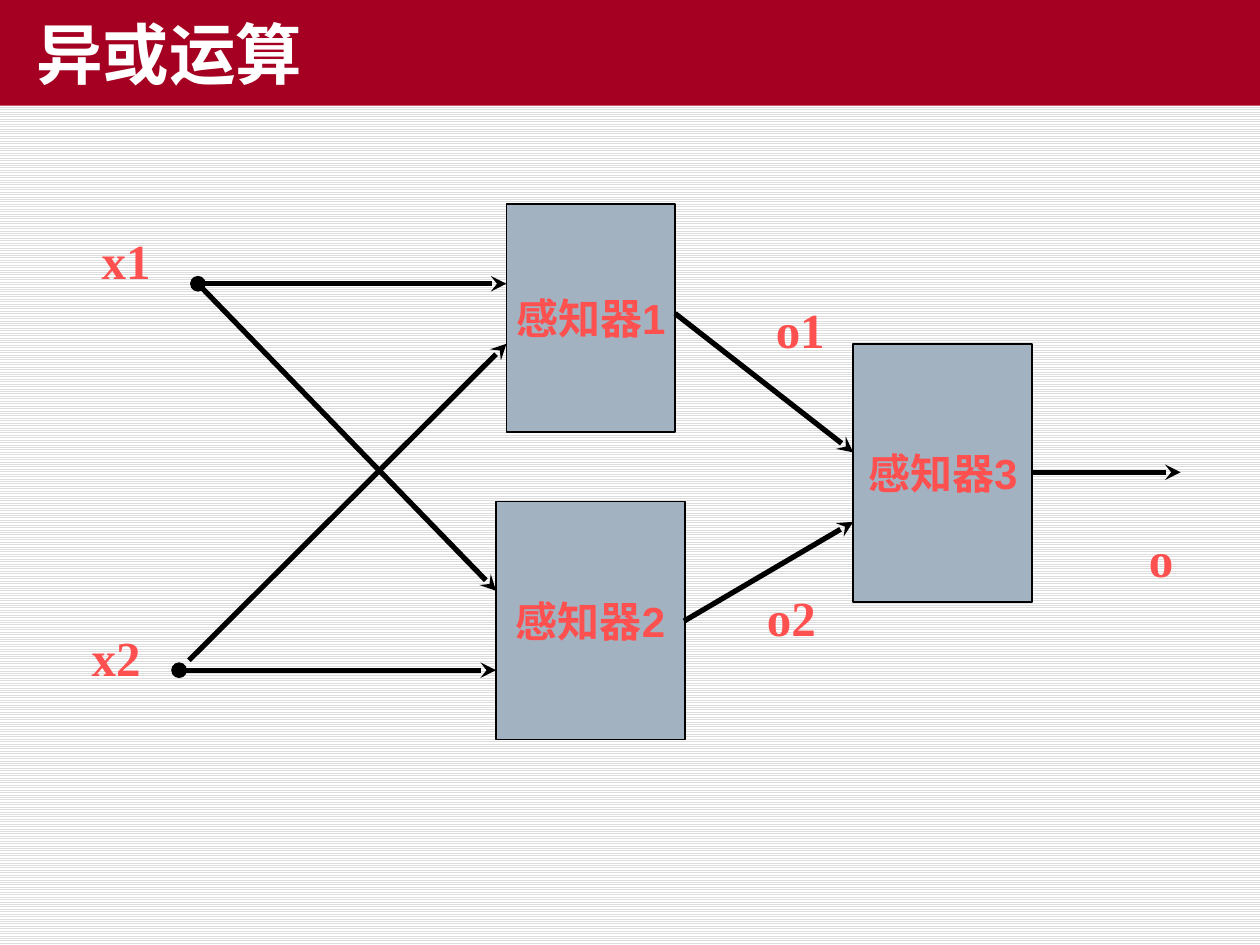
"""Build the XOR slide: three perceptrons wired into a two-layer network."""
from dataclasses import dataclass

from lxml import etree
from pptx import Presentation
from pptx.dml.color import RGBColor
from pptx.enum.dml import MSO_PATTERN
from pptx.enum.shapes import MSO_CONNECTOR, MSO_SHAPE
from pptx.enum.text import MSO_ANCHOR, MSO_AUTO_SIZE, PP_ALIGN
from pptx.oxml.ns import qn
from pptx.util import Cm, Pt

RECTANGLE = MSO_SHAPE.RECTANGLE
STRAIGHT = MSO_CONNECTOR.STRAIGHT
STRIPES = MSO_PATTERN.LIGHT_HORIZONTAL
MIDDLE = MSO_ANCHOR.MIDDLE
LEFT, CENTER = PP_ALIGN.LEFT, PP_ALIGN.CENTER
NO_FIT = MSO_AUTO_SIZE.NONE


@dataclass(frozen=True)
class Theme:
    banner: RGBColor = RGBColor(0xA5, 0x00, 0x21)
    white: RGBColor = RGBColor(0xFF, 0xFF, 0xFF)
    stripe: RGBColor = RGBColor(0xDD, 0xDD, 0xDD)
    block: RGBColor = RGBColor(0xA3, 0xB2, 0xC1)
    ink: RGBColor = RGBColor(0x00, 0x00, 0x00)
    accent: RGBColor = RGBColor(0xFF, 0x50, 0x50)
    sans: str = "Arial"
    serif: str = "Times New Roman"
    title_size: int = 38
    block_size: int = 24
    signal_size: int = 28


theme = Theme()


def write(shape, text, align, font, size, color):
    frame = shape.text_frame
    frame.text = text
    para = frame.paragraphs[0]
    para.alignment = align
    span = para.runs[0]
    span.font.name = font
    span.font.size = Pt(size)
    span.font.bold = True
    span.font.color.rgb = color
    return frame


deck = Presentation()
deck.slide_width, deck.slide_height = Cm(25.4), Cm(19.05)
page = deck.slides.add_slide(deck.slide_layouts[5])

backdrop = page.background.fill
backdrop.patterned()
backdrop.pattern = STRIPES
backdrop.fore_color.rgb = theme.stripe
backdrop.back_color.rgb = theme.white

title = page.shapes.title
title.left, title.top, title.width, title.height = Cm(0), Cm(0), Cm(25.4), Cm(2.13)
title.fill.solid()
title.fill.fore_color.rgb = theme.banner
frame = write(title, "异或运算", LEFT, theme.sans, theme.title_size, theme.white)
frame.auto_size = NO_FIT
frame.vertical_anchor = MIDDLE
frame.margin_left = Cm(0.73)

perceptrons = [
    ("感知器1", 10.21, 4.11, 3.4, 4.6),
    ("感知器2", 10, 10.11, 3.81, 4.8),
    ("感知器3", 17.2, 6.93, 3.61, 5.21),
]
for name, left, top, width, height in perceptrons:
    block = page.shapes.add_shape(RECTANGLE, Cm(left), Cm(top), Cm(width), Cm(height))
    block.shadow.inherit = False
    block.fill.solid()
    block.fill.fore_color.rgb = theme.block
    block.line.color.rgb = theme.ink
    block.line.width = Pt(1)
    frame = write(block, name, CENTER, theme.sans, theme.block_size, theme.accent)
    frame.word_wrap = False
    frame.vertical_anchor = MIDDLE

arrows = [
    (3.99, 5.72, 10.21, 5.72, True),
    (3.61, 13.51, 10, 13.51, True),
    (3.81, 13.31, 10.21, 6.93, False),
    (3.99, 5.72, 10, 11.91, False),
    (13.61, 6.32, 17.2, 9.12, False),
    (13.79, 12.52, 17.2, 10.52, False),
    (20.8, 9.52, 23.8, 9.52, False),
]
for start_x, start_y, end_x, end_y, from_input in arrows:
    arrow = page.shapes.add_connector(STRAIGHT, Cm(start_x), Cm(start_y), Cm(end_x), Cm(end_y))
    arrow.line.color.rgb = theme.ink
    arrow.line.width = Pt(3)
    outline = arrow.line._get_or_add_ln()
    if from_input:
        etree.SubElement(outline, qn("a:headEnd"), type="oval")
    etree.SubElement(outline, qn("a:tailEnd"), type="stealth")
    etree.SubElement(arrow._element.spPr, qn("a:effectLst"))

signals = [
    ("x1", 1.8, 4.52),
    ("x2", 1.6, 12.52),
    ("o1", 15.39, 5.92),
    ("o2", 15.21, 11.71),
    ("o", 22.91, 10.52),
]
for name, left, top in signals:
    box = page.shapes.add_textbox(Cm(left), Cm(top), Cm(2), Cm(1.45))
    frame = write(box, name, LEFT, theme.serif, theme.signal_size, theme.accent)
    frame.word_wrap = True

deck.save("out.pptx")
